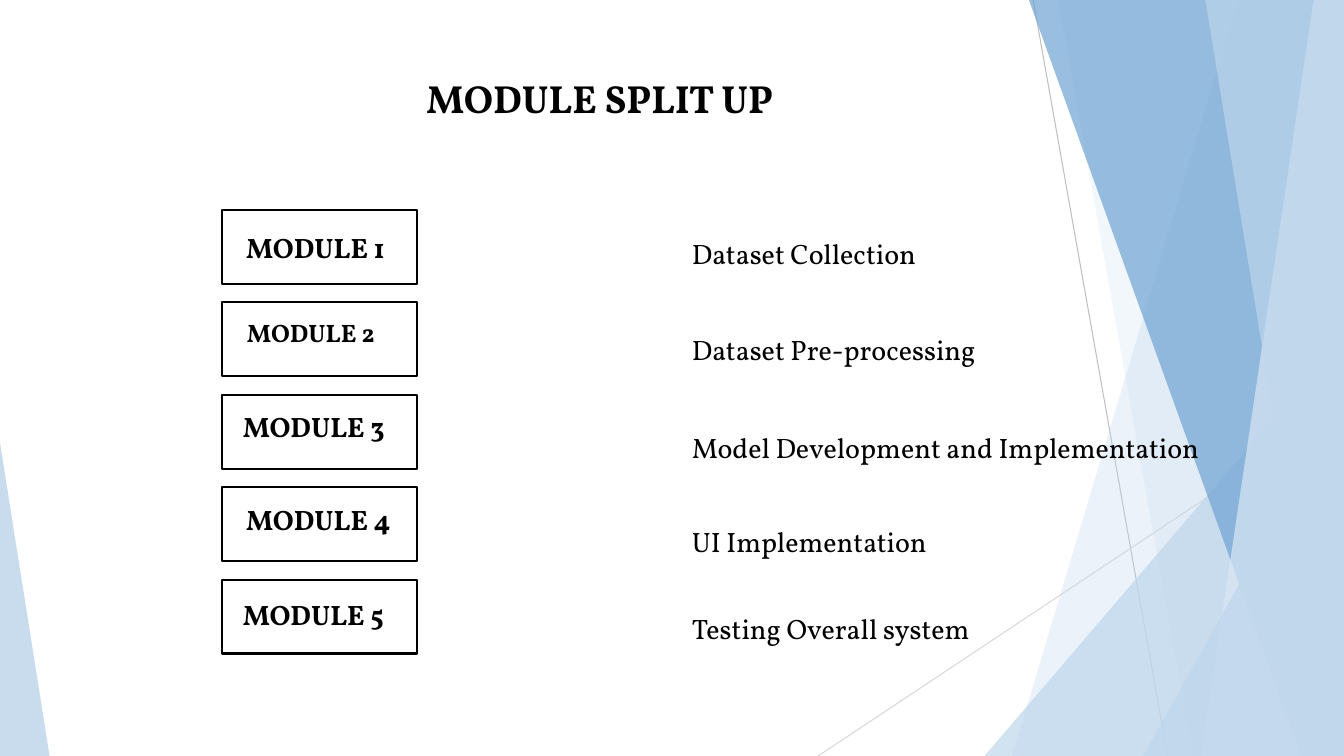
import pptx
import pptx.dml.color
import pptx.enum.shapes
import pptx.enum.text
import pptx.oxml
import pptx.oxml.ns
import pptx.util

RGBColor = pptx.dml.color.RGBColor
BLACK = RGBColor(0x00, 0x00, 0x00)
SKY = RGBColor(0xC0, 0xD7, 0xEC)
BLUE = RGBColor(0x6E, 0xA3, 0xD3)
PALE = RGBColor(0xD9, 0xE7, 0xF4)
GREY = RGBColor(0xBF, 0xBF, 0xBF)
LIGHT_GREY = RGBColor(0xD9, 0xD9, 0xD9)

FONT = "Vollkorn"
COLUMNS, ROWS = 16, 9
UNIT = pptx.util.Inches(7.5) / ROWS
ANCHOR = pptx.enum.text.MSO_ANCHOR
ALIGN = pptx.enum.text.PP_ALIGN

# from column, row to column, row
LINES = [
    (12.3, 0, 13.9, ROWS, GREY),
    (COLUMNS, 4.84, 9.74, ROWS, LIGHT_GREY),
]
# top column, top row, bottom column, edge column, colour, opacity in percent
BANDS = [
    (14.74, 0, 12.05, COLUMNS, SKY, 30),
    (12.6, 0, 14.2, COLUMNS, SKY, 20),
    (COLUMNS, 4, 11.72, COLUMNS, SKY, 72),
    (12.25, 0, 15.49, COLUMNS, BLUE, 70),
    (15.64, 0, 14.3, COLUMNS, PALE, 70),
    (14.35, 0, 15.82, COLUMNS, SKY, 65),
    (COLUMNS, 4.72, 13.61, COLUMNS, SKY, 80),
    (0, 5.27, 0.59, 0, SKY, 85),
]
# description, label size, label indent, label lift, description drop
MODULES = [
    ("Dataset Collection", 20, 0.29, 0, 0.06),
    ("Dataset Pre-processing", 18, 0.3, 0.16, 0.1),
    ("Model Development and Implementation", 20, 0.25, 0.12, 0.17),
    ("UI Implementation", 20, 0.29, 0.12, 0.18),
    ("Testing Overall system", 20, 0.25, 0.05, 0.12),
]


def grid(*lengths):
    """Turn grid units into EMU."""
    return [round(length * UNIT) for length in lengths]


def write(shape, text, size, bold, anchor, align, margins, line_spacing=1.0):
    frame = shape.text_frame
    left, top, right, bottom = grid(*margins)
    frame_format = {
        "text": text, "word_wrap": True, "vertical_anchor": anchor,
        "auto_size": pptx.enum.text.MSO_AUTO_SIZE.NONE,
        "margin_left": left, "margin_top": top,
        "margin_right": right, "margin_bottom": bottom,
    }
    for name, value in frame_format.items():
        setattr(frame, name, value)
    paragraph = frame.paragraphs[0]
    paragraph.alignment = align
    paragraph.line_spacing = line_spacing
    font = paragraph.runs[0].font
    font_format = {"name": FONT, "size": pptx.util.Pt(size), "bold": bold}
    for name, value in font_format.items():
        setattr(font, name, value)
    font.color.rgb = BLACK


def add_line(slide, left, top, right, bottom, colour):
    line = slide.shapes.add_connector(
        pptx.enum.shapes.MSO_CONNECTOR.STRAIGHT, *grid(left, top, right, bottom))
    line.line.color.rgb = colour
    line.line.width = pptx.util.Pt(0.75)
    properties = line.element.find(pptx.oxml.ns.qn("p:spPr"))
    pptx.oxml.ns.qn("a:effectLst")
    properties.append(pptx.oxml.parse_xml(
        f'<a:effectLst {pptx.oxml.ns.nsdecls("a")}/>'))


def add_band(slide, top_column, top_row, bottom_column, edge, colour, opacity):
    """Draw a slanted band between its sloping side and a vertical edge."""
    corners = [(top_column, top_row), (edge, top_row), (edge, ROWS), (bottom_column, ROWS)]
    start, *others = [grid(*corner) for corner in dict.fromkeys(corners)]
    builder = slide.shapes.build_freeform(*start)
    builder.add_line_segments(others)
    band = builder.convert_to_shape()
    band.shadow.inherit = False
    band.line.fill.background()
    band.fill.solid()
    band.fill.fore_color.rgb = colour
    colour_element = band.element.find(".//" + pptx.oxml.ns.qn("a:srgbClr"))
    colour_element.append(pptx.oxml.parse_xml(
        f'<a:alpha {pptx.oxml.ns.nsdecls("a")} val="{opacity * 1000}"/>'))


def add_backdrop(slide):
    for line in LINES:
        add_line(slide, *line)
    for band in BANDS:
        add_band(slide, *band)


def add_title(slide, left, top, width, height):
    title = slide.shapes.title
    title.left, title.top, title.width, title.height = grid(left, top, width, height)
    write(title, "MODULE SPLIT UP", 28, True, ANCHOR.TOP, ALIGN.CENTER, [0.12] * 4)


def add_modules(slide, left, top, width, height):
    """Stack the numbered boxes, each with its description to the right."""
    pitch = height / len(MODULES)
    box_width, box_height, description_left = 2.32, 0.8 * pitch, 5.48
    for index, (description, size, indent, lift, drop) in enumerate(MODULES):
        row_top = top + index * pitch
        box = slide.shapes.add_shape(
            pptx.enum.shapes.MSO_SHAPE.RECTANGLE,
            *grid(left, row_top, box_width, box_height))
        box.shadow.inherit = False
        box.fill.background()
        box.line.color.rgb = BLACK
        box.line.width = pptx.util.Pt(1.5)
        write(box, f"MODULE {index + 1}", size, True, ANCHOR.MIDDLE, ALIGN.LEFT,
              [indent, 0, 0, lift])
        text_box = slide.shapes.add_textbox(*grid(
            left + description_left, row_top + drop,
            width - description_left, 0.6 * pitch))
        write(text_box, description, 20, False, ANCHOR.TOP, ALIGN.LEFT,
              [0.12, 0.06, 0.12, 0.06], 1.5)


def main():
    presentation = pptx.Presentation()
    presentation.slide_width, presentation.slide_height = grid(COLUMNS, ROWS)
    slide = presentation.slides.add_slide(presentation.slide_layouts[5])
    add_backdrop(slide)
    add_title(slide, 2.08, 0.76, 10.12, 0.76)
    add_modules(slide, 2.64, 2.5, 11.92, 5.5)
    presentation.save("out.pptx")


if __name__ == "__main__":
    main()
